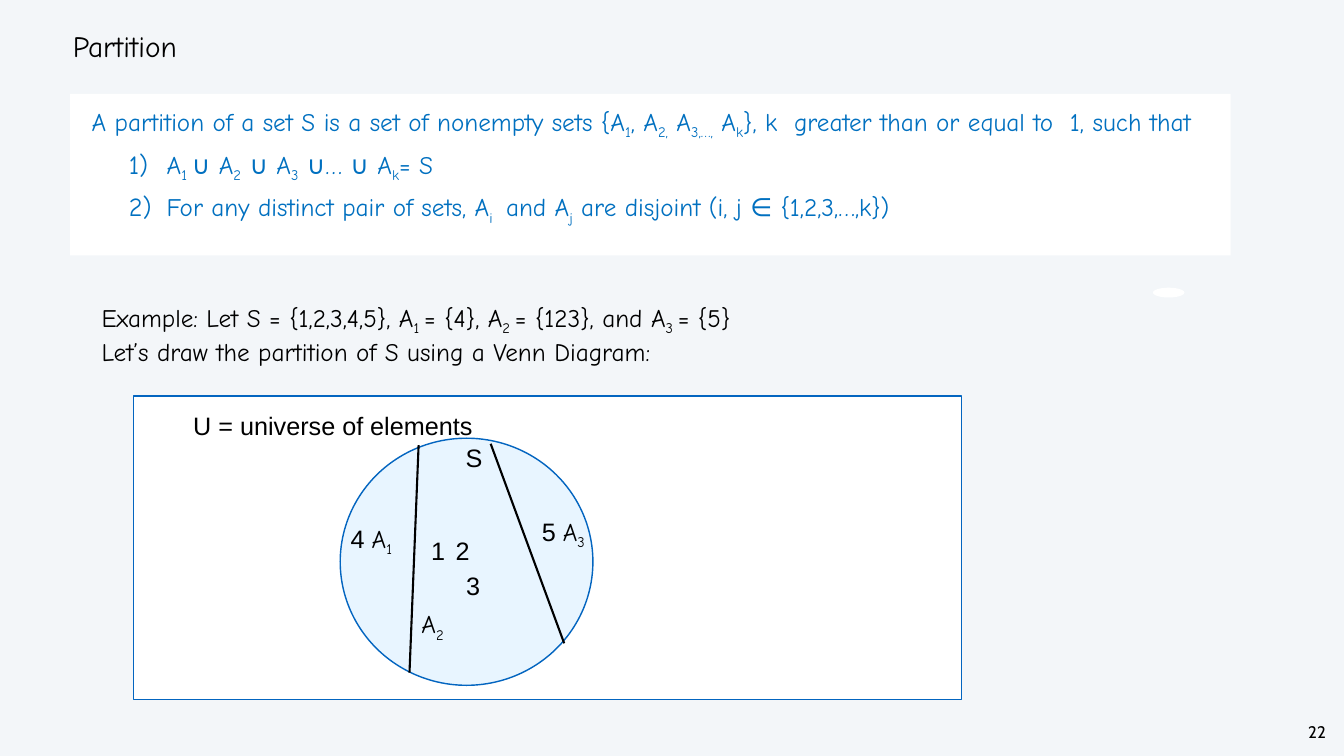
from lxml.etree import SubElement
from pptx import Presentation
from pptx.dml.color import RGBColor
from pptx.enum.shapes import MSO_CONNECTOR as CONN, MSO_SHAPE as SHAPE
from pptx.enum.text import MSO_ANCHOR as ANCHOR, MSO_AUTO_SIZE as FIT, PP_ALIGN as ALIGN
from pptx.oxml.ns import qn
from pptx.util import Pt

COLORS = {"bg": "F3F6F9", "white": "FFFFFF", "black": "000000",
          "blue": "0070C0", "outline": "0365C0", "tint": "25A2FF"}
HAND, SANS, PAGE = "Comic Neue", "Arial", "Cabin"


def rgb(name):
    return RGBColor.from_string(COLORS[name])


class Deck:
    def __init__(self, width, height):
        self.prs = Presentation()
        self.prs.slide_width, self.prs.slide_height = Pt(width), Pt(height)
        self.s = self.prs.slides.add_slide(self.prs.slide_layouts[6])
        self.s.background.fill.solid()
        self.s.background.fill.fore_color.rgb = rgb("bg")

    def run(self, p, text, font=HAND, size=36, color="black", sub=False):
        r = p.add_run()
        r.text = text
        r.font.name, r.font.size = font, Pt(size)
        r.font.color.rgb = rgb(color)
        if sub:
            r.font._element.set("baseline", "-25000")

    def runs(self, p, text, **style):
        for i, part in enumerate(text.split("|")):
            if part:
                self.run(p, part, sub=i % 2 == 1, **style)

    def frame(self, sp, inset, anchor=ANCHOR.TOP, wrap=True):
        tf = sp.text_frame
        tf.word_wrap, tf.vertical_anchor, tf.auto_size = wrap, anchor, FIT.NONE
        tf.margin_left = tf.margin_right = Pt(inset[0])
        tf.margin_top = tf.margin_bottom = Pt(inset[1])
        return tf

    def text(self, x, y, w, h, lines, inset=(4, 4), anchor=ANCHOR.MIDDLE, wrap=True,
             align=ALIGN.LEFT, spacing=None, lead="", tab=None, **style):
        sp = self.s.shapes.add_textbox(Pt(x), Pt(y), Pt(w), Pt(h))
        tf = self.frame(sp, inset, anchor, wrap)
        for i, line in enumerate(lines):
            p = tf.add_paragraph() if i else tf.paragraphs[0]
            p.alignment = align
            if spacing:
                p.line_spacing = Pt(spacing)
            if tab:
                tabs = SubElement(p._p.get_or_add_pPr(), qn("a:tabLst"))
                SubElement(tabs, qn("a:tab"), pos=str(Pt(tab)), algn="l")
            if lead:
                self.run(p, lead, SANS)
            self.runs(p, line, **style)

    def label(self, x, y, text, w=184, **options):
        self.text(x, y, w, 52, [text], **options)

    def shape(self, kind, x, y, w, h, fill="white", line=None, alpha=None):
        sp = self.s.shapes.add_shape(kind, Pt(x), Pt(y), Pt(w), Pt(h))
        sp.shadow.inherit = False
        sp.fill.solid()
        sp.fill.fore_color.rgb = rgb(fill)
        if alpha:
            clr = sp.fill._xPr.find(qn("a:solidFill"))[0]
            SubElement(clr, qn("a:alpha"), val=str(alpha * 1000))
        if line:
            sp.line.color.rgb = rgb(line)
            sp.line.width = Pt(2)
        else:
            sp.line.fill.background()
        return sp

    def definition(self, x, y, w, h, intro, items):
        tf = self.frame(self.shape(SHAPE.RECTANGLE, x, y, w, h), (24, 24))
        for i, line in enumerate([intro] + items):
            p = tf.add_paragraph() if i else tf.paragraphs[0]
            p.alignment, p.line_spacing = ALIGN.LEFT, Pt(43)
            pPr = p._p.get_or_add_pPr()
            pPr.set("indent", str(Pt(-54 if i else 7)))
            if i:
                p.level, p.space_before = 1, Pt(18)
                pPr.set("marL", str(Pt(114)))
                SubElement(pPr, qn("a:buSzPct"), val="104000")
                SubElement(pPr, qn("a:buAutoNum"), type="arabicParenR")
            self.runs(p, line, color="blue")

    def line(self, x1, y1, x2, y2):
        c = self.s.shapes.add_connector(CONN.STRAIGHT, Pt(x1), Pt(y1), Pt(x2), Pt(y2))
        c.line.color.rgb = rgb("black")
        c.line.width = Pt(3)
        SubElement(c._element.spPr, qn("a:effectLst"))


def main():
    d = Deck(1920, 1080)
    d.text(1866, 1029, 31, 34, ["22"], anchor=ANCHOR.TOP, wrap=False, inset=(3, 3),
           align=ALIGN.CENTER, spacing=28, font=PAGE, size=24)
    d.text(100, 30, 1629, 71, ["Partition"], spacing=50, size=42)
    d.definition(
        100, 134, 1658, 231,
        "A partition of a set S is a set of nonempty sets {A|1|, A|2,| A|3,…,| A|k|}, "
        "k  greater than or equal to  1, such that",
        ["A|1 |∪ A|2| ∪ A|3| ∪… ∪ A|k|= S",
         "For any distinct pair of sets, A|i | and A|j| are disjoint (i, j ∈ {1,2,3,…,k})"])
    d.text(138, 428, 1208, 153,
           ["Example: Let S = {1,2,3,4,5}, A|1 |= {4}, A|2 |= {123}, and A|3 |= {5}",
            "Let’s draw the partition of S using a Venn Diagram:"],
           inset=(7.2, 3.6), anchor=ANCHOR.TOP)

    d.shape(SHAPE.RECTANGLE, 191, 566, 1183, 433, line="outline")
    d.label(272, 582.5, "U = universe of elements", w=428, font=SANS)
    d.shape(SHAPE.OVAL, 1647, 411, 45, 14)
    d.shape(SHAPE.OVAL, 486, 626, 361, 353, fill="tint", line="outline", alpha=10)
    d.label(598, 868, "A|2")
    d.label(612, 760, "1\t2", font=SANS, tab=35)
    d.label(661, 627, "S", font=SANS)
    d.label(662, 811, "3", font=SANS)
    d.label(770, 736, "A|3", lead="5 ")
    d.line(598, 636, 585, 961)
    d.line(701, 634, 806, 919)
    d.label(497, 746, "A|1", lead="4 ")
    d.prs.save("out.pptx")


if __name__ == "__main__":
    main()
